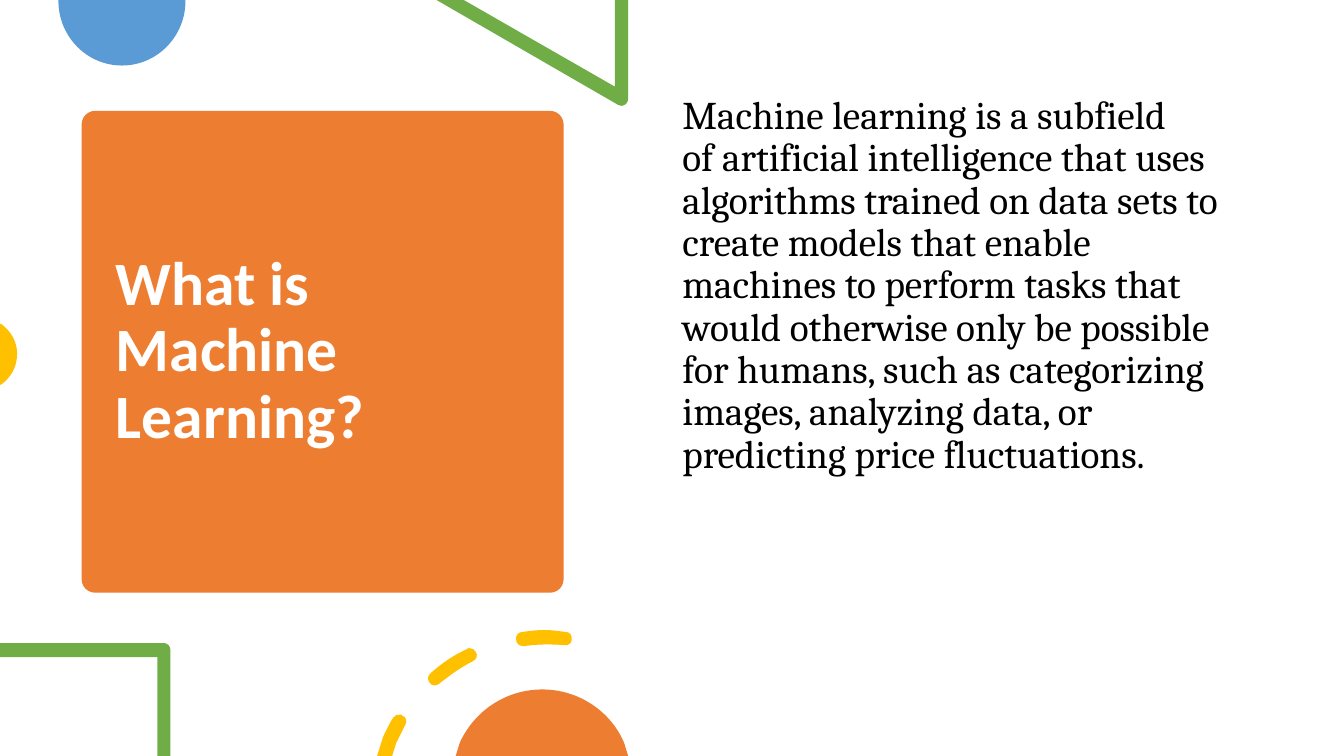
from lxml import etree
from pptx import Presentation
from pptx.dml.color import RGBColor
from pptx.enum.shapes import MSO_SHAPE
from pptx.enum.text import MSO_ANCHOR, PP_ALIGN
from pptx.oxml.ns import qn
from pptx.util import Pt

PX = 9144
NBSP = chr(160)
ORANGE = RGBColor(0xED, 0x7D, 0x31)
BLUE = RGBColor(0x5B, 0x9B, 0xD5)
GREEN = RGBColor(0x70, 0xAD, 0x47)
YELLOW = RGBColor(0xFF, 0xC0, 0x00)
WHITE = RGBColor(0xFF, 0xFF, 0xFF)
BLACK = RGBColor(0x00, 0x00, 0x00)
ROUNDED = MSO_SHAPE.ROUNDED_RECTANGLE
TOP, MIDDLE = MSO_ANCHOR.TOP, MSO_ANCHOR.MIDDLE
LEFT = PP_ALIGN.LEFT


def paint(shape, color):
    shape.fill.solid()
    shape.fill.fore_color.rgb = color
    shape.line.fill.background()
    shape.shadow.inherit = False


def bend(outline, steps):
    segments = list(outline.element.iter(qn("a:lnTo")))
    for segment, step in zip(segments, steps):
        if len(step) == 2:
            continue
        curve = etree.Element(qn("a:cubicBezTo"))
        for x, y in zip(step[::2], step[1::2]):
            point = etree.SubElement(curve, qn("a:pt"))
            point.set("x", str(x * PX - outline.left))
            point.set("y", str(y * PX - outline.top))
        segment.getparent().replace(segment, curve)


prs = Presentation()
prs.slide_width = 1333 * PX
prs.slide_height = 750 * PX
slide = prs.slides.add_slide(prs.slide_layouts[6])

title_card = slide.shapes.add_shape(ROUNDED, 81 * PX, 110 * PX, 478 * PX, 478 * PX)
title_card.adjustments[0] = 0.028
paint(title_card, ORANGE)

blue_circle = [(184, 0), (58, 0), (58, 1),
               (58, 36, 86, 65, 121, 65), (156, 65, 184, 36, 184, 1)]
green_triangle = [(623, 0), (610, 0), (610, 86), (460, 0), (433, 0), (613, 104),
                  (614, 105, 615, 105, 616, 105), (620, 105, 623, 102, 623, 98)]
yellow_circle = [(0, 321), (0, 382), (2, 381),
                 (11, 374, 17, 364, 17, 351), (17, 339, 11, 329, 2, 322)]
green_frame = [(163, 638), (0, 638), (0, 652), (156, 652), (156, 750), (169, 750),
               (169, 645), (169, 641, 166, 638, 163, 638)]
lower_dash = [(397, 709), (394, 708, 392, 710, 390, 712),
              (386, 718, 383, 725, 380, 731), (374, 750), (389, 750), (393, 737),
              (396, 731, 399, 725, 402, 719), (404, 716, 403, 711, 399, 710),
              (399, 709, 398, 709, 397, 709)]
middle_dash = [(465, 643), (465, 643, 464, 643, 463, 644),
               (450, 650, 438, 658, 427, 668), (424, 670, 424, 675, 426, 677),
               (427, 679, 429, 680, 431, 680), (431, 680),
               (433, 680, 435, 679, 436, 678),
               (446, 670, 457, 662, 469, 656), (473, 654, 474, 650, 472, 647),
               (471, 644, 468, 643, 465, 643)]
upper_dash = [(540, 625), (532, 625, 525, 626, 518, 627),
              (514, 627, 511, 631, 512, 635), (512, 638, 515, 641, 519, 641),
              (519, 641, 519, 641, 520, 641), (533, 639, 546, 639, 560, 640),
              (563, 641, 567, 638, 567, 635), (568, 631, 565, 627, 562, 627),
              (562, 627, 561, 627, 561, 627), (554, 626, 547, 625, 540, 625)]
orange_circle = [(538, 684), (501, 684, 470, 706, 456, 737), (452, 750),
                 (623, 750), (619, 737), (606, 706, 574, 684, 538, 684)]

decorations = [
    (BLUE, [blue_circle]),
    (GREEN, [green_triangle]),
    (YELLOW, [yellow_circle]),
    (GREEN, [green_frame]),
    (YELLOW, [lower_dash, middle_dash, upper_dash]),
    (ORANGE, [orange_circle]),
]
for color, contours in decorations:
    builder = slide.shapes.build_freeform(*contours[0][0], scale=PX)
    for contour in contours:
        if contour is not contours[0]:
            builder.move_to(*contour[0])
        builder.add_line_segments([step[-2:] for step in contour[1:]], close=True)
    decoration = builder.convert_to_shape()
    for extent in decoration.element.iter(qn("a:path")):
        extent.set("w", str(decoration.width))
        extent.set("h", str(decoration.height))
    for point in decoration.element.iter(qn("a:pt")):
        for axis in ("x", "y"):
            point.set(axis, str(int(point.get(axis)) * PX))
    bend(decoration, [step for contour in contours for step in contour[1:]])
    paint(decoration, color)

definition = (
    f"Machine learning is a subfield of{NBSP}artificial intelligence that uses algorithms "
    "trained on data sets to create models that enable machines to perform tasks that "
    "would otherwise only be possible for humans, such as categorizing images, "
    "analyzing data, or predicting price fluctuations."
)
passages = [
    ("What is Machine Learning?", (105, 121, 431, 456), MIDDLE, 0, WHITE,
     {"name": "Calibri", "size": Pt(44), "bold": True}),
    (definition, (667, 90, 575, 535), TOP, 10, BLACK,
     {"name": "Cambria", "size": Pt(28), "bold": False}),
]
for wording, box, anchor, space_before, color, font_format in passages:
    frame = slide.shapes.add_textbox(*(length * PX for length in box)).text_frame
    frame.word_wrap = True
    frame.vertical_anchor = anchor
    paragraph = frame.paragraphs[0]
    paragraph.alignment = LEFT
    paragraph.line_spacing = 0.9
    paragraph.space_before = Pt(space_before)
    run = paragraph.add_run()
    run.text = wording
    run.font.color.rgb = color
    for attribute, value in font_format.items():
        setattr(run.font, attribute, value)

prs.save("out.pptx")
